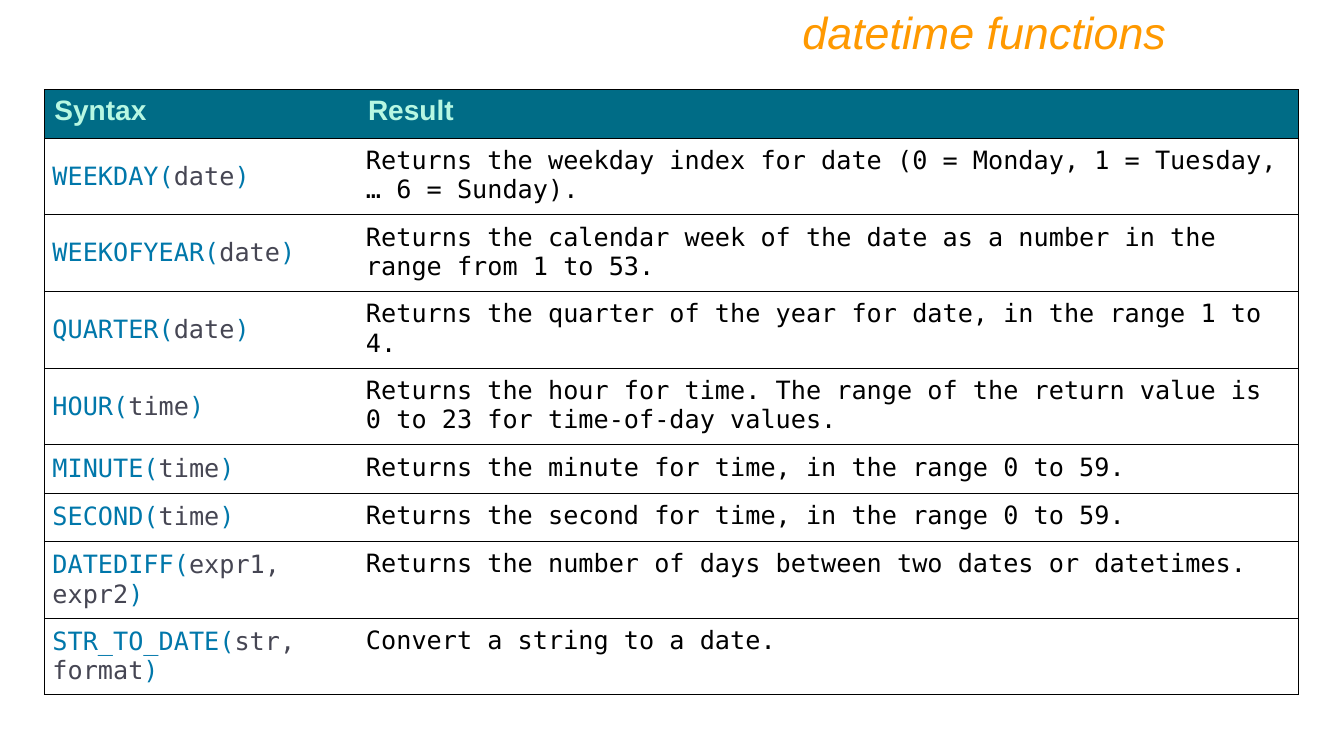
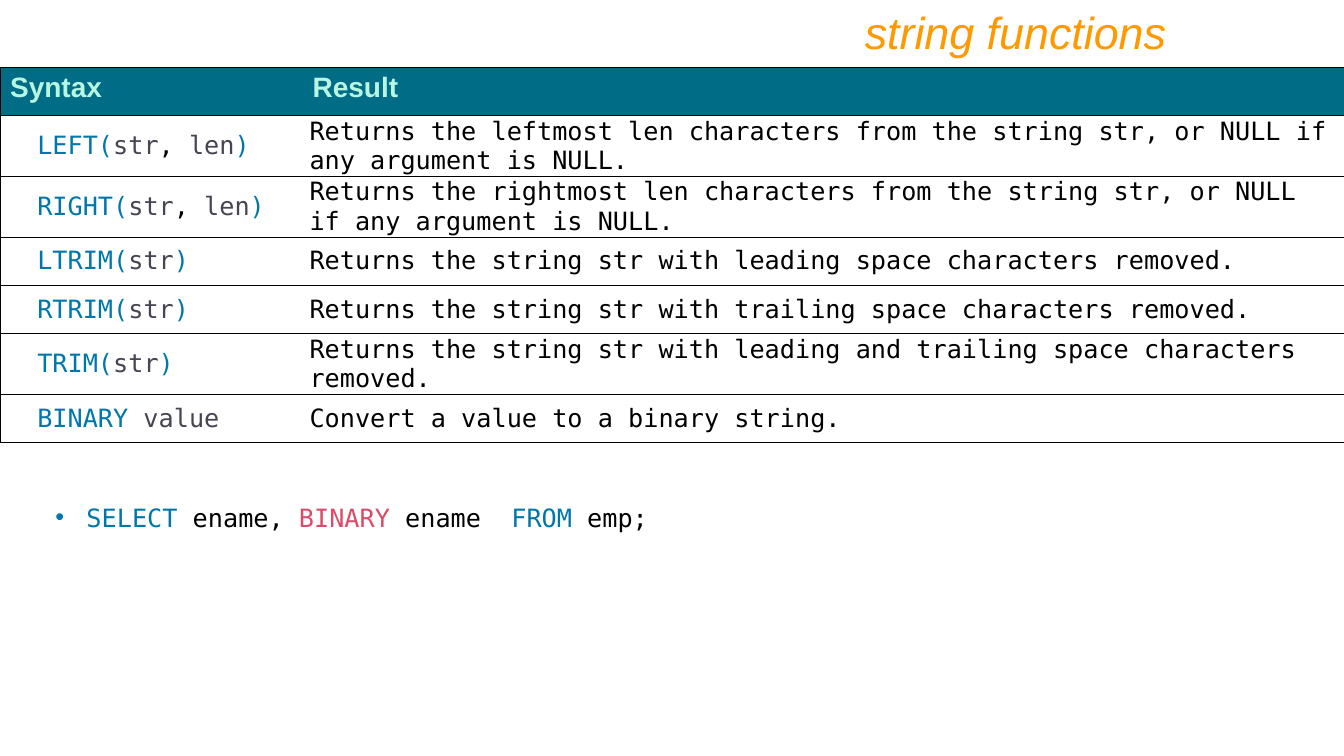
from dataclasses import dataclass

from lxml import etree
from pptx import Presentation
from pptx import util as u
from pptx.dml.color import RGBColor
from pptx.enum import text
from pptx.oxml import ns


@dataclass(frozen=True)
class Theme:
    title: str = "FF9900"
    header: str = "B7F7E2"
    header_fill: str = "006C86"
    body_fill: str = "FFFFFF"
    keyword: str = "0077AA"
    argument: str = "464653"
    plain: str = "000000"
    accent: str = "DD4A68"
    border: str = "000000"
    text_font: str = "Arial"
    code_font: str = "DejaVu Sans Mono"
    title_size: int = 32
    header_size: int = 20
    code_size: int = 18
    border_width: float = 0.75


THEME = Theme()


def call(name, *inner):
    """Spans of a function call; a comma on its own is plain text."""
    middle = [(part, THEME.plain if part == "," else THEME.argument) for part in inner]
    return [(name + "(", THEME.keyword), *middle, (")", THEME.keyword)]


# Content
HEADINGS = ("Syntax", "Result")

DATETIME_FUNCTIONS = [
    (call("WEEKDAY", "date"),
     "Returns the weekday index for date (0 = Monday, 1 = Tuesday, … 6 = Sunday)."),
    (call("WEEKOFYEAR", "date"),
     "Returns the calendar week of the date as a number in the range from 1 to 53."),
    (call("QUARTER", "date"),
     "Returns the quarter of the year for date, in the range 1 to 4."),
    (call("HOUR", "time"),
     "Returns the hour for time. The range of the return value is 0 to 23 "
     "for time-of-day values."),
    (call("MINUTE", "time"), "Returns the minute for time, in the range 0 to 59."),
    (call("SECOND", "time"), "Returns the second for time, in the range 0 to 59."),
    (call("DATEDIFF", "expr1, expr2"),
     "Returns the number of days between two dates or datetimes."),
    (call("STR_TO_DATE", "str, format"), "Convert a string to a date."),
]

STRING_FUNCTIONS = [
    (call("LEFT", "str", ",", " len"),
     "Returns the leftmost len characters from the string str, or NULL "
     "if any argument is NULL."),
    (call("RIGHT", "str", ",", " len"),
     "Returns the rightmost len characters from the string str, or NULL "
     "if any argument is NULL."),
    (call("LTRIM", "str"),
     "Returns the string str with leading space characters removed."),
    (call("RTRIM", "str"),
     "Returns the string str with trailing space characters removed."),
    (call("TRIM", "str"),
     "Returns the string str with leading and trailing space characters removed."),
    ([("BINARY ", THEME.keyword), ("value", THEME.argument)],
     "Convert a value to a binary string."),
]

EXAMPLE_QUERY = [
    ("SELECT", THEME.keyword), (" ename, ", THEME.plain),
    ("BINARY", THEME.accent), (" ename", THEME.plain), (" ", THEME.plain),
    ("FROM", THEME.keyword), (" emp;", THEME.plain),
]
WIDE_SPACE = 4  # index of the span that is spaced out
WIDE_SPACING = "1080"  # hundredths of a point

# Layout of each table: lengths in inches, margins as (side, top and bottom)
SLIDES = [
    dict(title="datetime functions", rows=DATETIME_FUNCTIONS,
         left=0.44, top=0.89, columns=(3.11, 9.33),
         margins=(0.08, 0.08), indent=0, result_anchor=text.MSO_ANCHOR.TOP),
    dict(title="string functions", rows=STRING_FUNCTIONS,
         left=0, top=0.67, columns=(3, 10.33),
         margins=(0.07, 0), indent=0.3, result_anchor=text.MSO_ANCHOR.MIDDLE,
         query=EXAMPLE_QUERY),
]
ROW_HEIGHT = 0.48


def write(para, spans, font, size, bold=False, italic=False):
    para.font.name, para.font.size = font, u.Pt(size)
    para.font.bold, para.font.italic = bold, italic
    for words, colour in spans:
        span = para.add_run()
        span.text = words
        span.font.color.rgb = RGBColor.from_string(colour)


def set_borders(cell, visible):
    """Draw the sides named in visible (L, R, T, B) and clear the others."""
    properties = cell._tc.get_or_add_tcPr()
    for side in "LRTB":
        line = etree.SubElement(properties, ns.qn(f"a:ln{side}"),
                                w=str(u.Pt(THEME.border_width)))
        if side in visible:
            fill = etree.SubElement(line, ns.qn("a:solidFill"))
            etree.SubElement(fill, ns.qn("a:srgbClr"), val=THEME.border)
        else:
            etree.SubElement(line, ns.qn("a:noFill"))


def fill_cell(cell, colour):
    cell.fill.solid()
    cell.fill.fore_color.rgb = RGBColor.from_string(colour)


def add_titled_slide(deck, title):
    page = deck.slides.add_slide(deck.slide_layouts.get_by_name("Title Only"))
    box = page.shapes.title
    box.left, box.top = u.Inches(1.67), 0
    box.width, box.height = u.Inches(10), u.Inches(0.64)
    frame = box.text_frame
    frame.word_wrap = True
    frame.auto_size = text.MSO_AUTO_SIZE.SHAPE_TO_FIT_TEXT
    frame.vertical_anchor = text.MSO_ANCHOR.TOP
    para = frame.paragraphs[0]
    para.alignment = text.PP_ALIGN.RIGHT
    write(para, [(title, THEME.title)], THEME.text_font, THEME.title_size, italic=True)
    return page


def add_function_table(page, rows, left, top, columns, margins, indent, result_anchor):
    count = len(rows) + 1
    table = page.shapes.add_table(
        count, len(columns), u.Inches(left), u.Inches(top),
        u.Inches(sum(columns)), u.Inches(ROW_HEIGHT * count)).table
    table.first_row = table.horz_banding = False
    for column, width in zip(table.columns, columns):
        column.width = u.Inches(width)
    for row in table.rows:
        row.height = u.Inches(ROW_HEIGHT)

    # Header row
    for column, heading in enumerate(HEADINGS):
        cell = table.cell(0, column)
        set_borders(cell, "LR"[column] + "TB")
        fill_cell(cell, THEME.header_fill)
        write(cell.text_frame.paragraphs[0], [(heading, THEME.header)],
              THEME.text_font, THEME.header_size, bold=True)

    # One row for each function
    side, edge = margins
    anchors = (text.MSO_ANCHOR.MIDDLE, result_anchor)
    for number, (syntax, result) in enumerate(rows, start=1):
        for column, spans in enumerate((syntax, [(result, THEME.plain)])):
            cell = table.cell(number, column)
            set_borders(cell, "LR"[column] + "TB")
            fill_cell(cell, THEME.body_fill)
            cell.margin_left = u.Inches(side + (indent if column == 0 else 0))
            cell.margin_right = u.Inches(side)
            cell.margin_top = cell.margin_bottom = u.Inches(edge)
            cell.vertical_anchor = anchors[column]
            write(cell.text_frame.paragraphs[0], spans,
                  THEME.code_font, THEME.code_size)


def add_query(page, spans):
    box = page.shapes.add_textbox(u.Inches(0.45), u.Inches(4.93),
                                  u.Inches(12.44), u.Inches(0.4))
    frame = box.text_frame
    frame.word_wrap = True
    frame.auto_size = text.MSO_AUTO_SIZE.SHAPE_TO_FIT_TEXT
    para = frame.paragraphs[0]
    write(para, spans, THEME.code_font, THEME.code_size)
    para.runs[WIDE_SPACE]._r.get_or_add_rPr().set("spc", WIDE_SPACING)

    # Hanging bullet, placed ahead of the paragraph's font
    hanging = u.Inches(0.31)
    properties = para._p.get_or_add_pPr()
    properties.set("marL", str(hanging))
    properties.set("indent", str(-hanging))
    bullet_font = etree.Element(ns.qn("a:buFont"), typeface=THEME.text_font)
    bullet = etree.Element(ns.qn("a:buChar"), char="•")
    properties.insert(0, bullet_font)
    properties.insert(1, bullet)


def main():
    deck = Presentation()
    deck.slide_width, deck.slide_height = u.Inches(13.33), u.Inches(7.5)
    for content in SLIDES:
        layout = dict(content)
        page = add_titled_slide(deck, layout.pop("title"))
        query = layout.pop("query", None)
        add_function_table(page, **layout)
        if query:
            add_query(page, query)
    deck.save("out.pptx")


if __name__ == "__main__":
    main()
